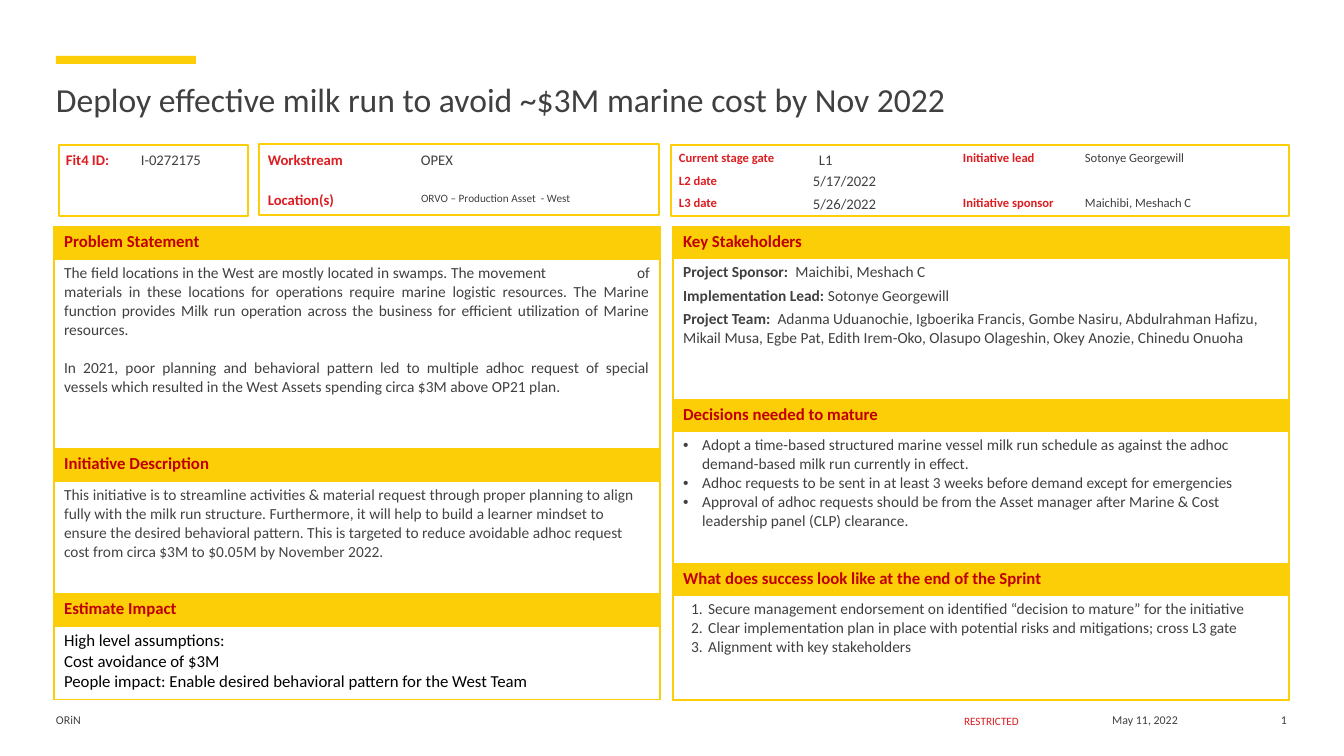
import pptx
import pptx.util
import pptx.dml.color
import pptx.enum.shapes
import pptx.enum.text
import pptx.oxml
import pptx.oxml.ns

PX = 914400 / 100.8
GOLD, RED, DEEP = "FBCE07", "DD1D21", "C00000"
GREY, SLATE, BLACK, WHITE = "404040", "434343", "000000", "FFFFFF"
ALIGN = pptx.enum.text.PP_ALIGN


def px(num):
    return pptx.util.Emu(round(num * PX))


def hue(code):
    return pptx.dml.color.RGBColor.from_string(code)


def style(para, size, color, bold=False):
    font = para.font
    font.name = "Calibri"
    font.size = pptx.util.Pt(size)
    font.bold = bold
    font.color.rgb = hue(color)


def node(parent, tag, **attrs):
    item = parent.makeelement(pptx.oxml.ns.qn("a:" + tag), attrs)
    parent.append(item)
    return item


def label(slide, x, y, wide, text, size, color, bold=False, align=ALIGN.LEFT):
    box = slide.shapes.add_textbox(px(x), px(y), px(wide), px(18))
    frame = box.text_frame
    frame.word_wrap = False
    frame.margin_left = frame.margin_right = 0
    frame.margin_top = frame.margin_bottom = 0
    para = frame.paragraphs[0]
    para.text = text
    para.alignment = align
    style(para, size, color, bold)


def block(slide, x, y, wide, high, fill, line=None):
    rect = slide.shapes.add_shape(pptx.enum.shapes.MSO_SHAPE.RECTANGLE,
                                  px(x), px(y), px(wide), px(high))
    rect.shadow.inherit = False
    rect.fill.solid()
    rect.fill.fore_color.rgb = hue(fill)
    if line:
        rect.line.color.rgb = hue(line)
        rect.line.width = pptx.util.Pt(1.5)
    else:
        rect.line.fill.background()


def card(slide, x, y, wide, high, items):
    """Framed box; each item is dx, dy, width, text, size, is it a heading."""
    block(slide, x, y, wide, high, WHITE, GOLD)
    for dx, dy, room, text, size, head in items:
        label(slide, x + dx, y + dy, room, text, size,
              RED if head else GREY, head)


def border(cell):
    props = cell._tc.get_or_add_tcPr()
    for side in ("lnL", "lnR", "lnT", "lnB"):
        line = node(props, side, w="12700")
        node(node(line, "solidFill"), "srgbClr", val=GOLD)


def mark(para, kind):
    """Hanging bullet or number."""
    props = para._p.get_or_add_pPr()
    left, hang = (19, 19) if kind == "dot" else (25, 17)
    props.set("marL", str(px(left)))
    props.set("indent", str(-px(hang)))
    if kind == "dot":
        node(props, "buFont", typeface="Arial")
        node(props, "buChar", char="•")
    else:
        node(props, "buAutoNum", type="arabicPeriod")


def body(cell, paras, size=11, color=GREY, kind=None, gap=0, just=False, tab=0):
    frame = cell.text_frame
    for i, text in enumerate(paras):
        para = frame.add_paragraph() if i else frame.paragraphs[0]
        if just:
            para.alignment = ALIGN.JUSTIFY
        if i and gap:
            para.space_before = pptx.util.Pt(gap)
        if kind:
            mark(para, kind)
        if tab and "\t" in text:
            stops = node(para._p.get_or_add_pPr(), "tabLst")
            node(stops, "tab", pos=str(px(tab)), algn="l")
        style(para, size, color)
        if isinstance(text, tuple):
            for part, bold in zip(text, (True, False)):
                run = para.add_run()
                run.text = part
                run.font.bold = bold
        else:
            para.add_run().text = text


def panel(slide, x, y, wide, head, parts):
    """Column of headed sections; each part is title, body height, options."""
    high = sum(head + part[1] for part in parts)
    frame = slide.shapes.add_table(2 * len(parts), 1, px(x), px(y),
                                   px(wide), px(high))
    table = frame.table
    table.first_row = table.horz_banding = False
    for i, (title, room, opts) in enumerate(parts):
        top, low = table.cell(2 * i, 0), table.cell(2 * i + 1, 0)
        table.rows[2 * i].height = px(head)
        table.rows[2 * i + 1].height = px(room)
        border(top)
        border(low)
        top.fill.solid()
        top.fill.fore_color.rgb = hue(GOLD)
        low.fill.background()
        body(top, [(title,)], 12, DEEP)
        body(low, **opts)


def banner(slide, x, y, wide, text):
    block(slide, x, y, 140, 8, GOLD)
    title = slide.shapes.title
    title.left, title.top = px(x), px(y + 21)
    title.width, title.height = px(wide), px(44)
    frame = title.text_frame
    frame.margin_left = frame.margin_right = 0
    frame.margin_top = frame.margin_bottom = 0
    frame.auto_size = pptx.enum.text.MSO_AUTO_SIZE.NONE
    frame.vertical_anchor = pptx.enum.text.MSO_ANCHOR.MIDDLE
    para = frame.paragraphs[0]
    para.text = text
    para.alignment = ALIGN.LEFT
    style(para, 24, GREY)


def footer(slide, x, y):
    label(slide, x, y, 370, "ORiN", 8.5, GREY)
    label(slide, x + 876, y + 1, 119, "RESTRICTED", 8, RED, align=ALIGN.CENTER)
    label(slide, x + 1010, y, 158, "May 11, 2022", 8.5, GREY, align=ALIGN.CENTER)
    label(slide, x + 1192, y, 39, "1", 8.5, GREY, align=ALIGN.RIGHT)


LEFT = [
    ("Problem Statement", 190, dict(just=True, gap=13.5, tab=570, paras=[
        "The field locations in the West are mostly located in swamps. The movement\tof materials in these locations for operations require marine logistic resources. The Marine function provides Milk run operation across the business for efficient utilization of Marine resources.",
        "In 2021, poor planning and behavioral pattern led to multiple adhoc request of special vessels which resulted in the West Assets spending circa $3M above OP21 plan."])),
    ("Initiative Description", 113, dict(color=SLATE, paras=[
        "This initiative is to streamline activities & material request through proper planning to align fully with the milk run structure. Furthermore, it will help to build a learner mindset to ensure the desired behavioral pattern. This is targeted to reduce avoidable adhoc request cost from circa $3M to $0.05M by November 2022."])),
    ("Estimate Impact", 74, dict(size=12, color=BLACK, paras=[
        "High level assumptions:",
        "Cost avoidance of $3M",
        "People impact: Enable desired behavioral pattern for the West Team"])),
]
RIGHT = [
    ("Key Stakeholders", 142, dict(gap=3, paras=[
        ("Project Sponsor:", "  Maichibi, Meshach C"),
        ("Implementation Lead: ", "Sotonye Georgewill"),
        ("Project Team:  ", "Adanma Uduanochie, Igboerika Francis, Gombe Nasiru, Abdulrahman Hafizu, Mikail Musa, Egbe Pat, Edith Irem-Oko, Olasupo Olageshin, Okey Anozie, Chinedu Onuoha")])),
    ("Decisions needed to mature", 133, dict(kind="dot", paras=[
        "Adopt a time-based structured marine vessel milk run schedule as against the adhoc demand-based milk run currently in effect.",
        "Adhoc requests to be sent in at least 3 weeks before demand except for emergencies",
        "Approval of adhoc requests should be from the Asset manager after Marine & Cost leadership panel (CLP) clearance."])),
    ("What does success look like at the end of the Sprint", 105, dict(kind="num", paras=[
        "Secure management endorsement on identified “decision to mature” for the initiative",
        "Clear implementation plan in place with potential risks and mitigations; cross L3 gate",
        "Alignment with key stakeholders"])),
]
IDS = [(7, 6, 60, "Fit4 ID:", 10.5, True),
       (82, 6, 90, "I-0272175", 10.5, False)]
WORK = [(9, 7, 110, "Workstream", 10.5, True),
        (162, 7, 60, "OPEX", 10.5, False),
        (9, 47, 110, "Location(s)", 10.5, True),
        (162, 47, 186, "ORVO – Production Asset  - West", 8, False)]
GATE = [(8, 5, 125, "Current stage gate", 9, True),
        (148, 6, 110, "L1", 10.5, False),
        (8, 28, 125, "L2 date", 9, True),
        (142, 27, 129, "5/17/2022", 10.5, False),
        (8, 50, 125, "L3 date", 9, True),
        (142, 50, 110, "5/26/2022", 10.5, False),
        (292, 5, 117, "Initiative lead", 9, True),
        (414, 5, 161, "Sotonye Georgewill", 9, False),
        (292, 50, 117, "Initiative sponsor", 9, True),
        (414, 50, 161, "Maichibi, Meshach C", 9, False)]


def main():
    deck = pptx.Presentation()
    deck.slide_width, deck.slide_height = px(1344), px(756)
    slide = deck.slides.add_slide(deck.slide_layouts.get_by_name("Title Only"))
    banner(slide, 56, 56, 1232, "Deploy effective milk run to avoid ~$3M marine cost by Nov 2022")
    # Facts across the top
    card(slide, 59, 145, 189, 71, IDS)
    card(slide, 259, 144, 400, 71, WORK)
    card(slide, 671, 145, 618, 71, GATE)
    # Two columns of sections
    panel(slide, 54, 227, 606, 32, LEFT)
    panel(slide, 673, 227, 616, 31, RIGHT)
    footer(slide, 56, 713)
    deck.save("out.pptx")


if __name__ == "__main__":
    main()
